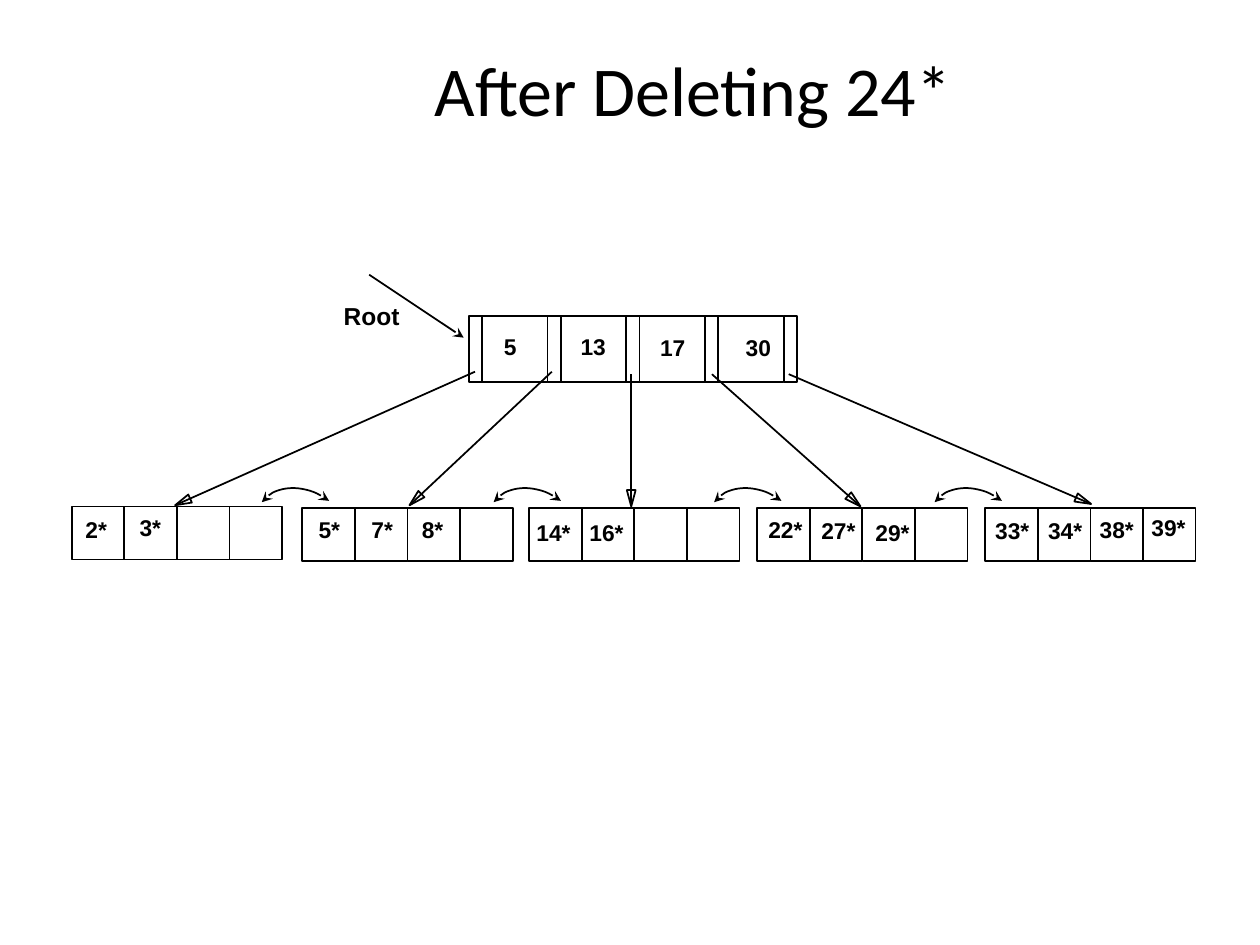
import itertools
import math
from dataclasses import dataclass

import lxml.etree
import pptx
import pptx.dml.color
import pptx.enum.shapes
import pptx.enum.text
import pptx.oxml.ns
import pptx.util
from pptx.shapes.base import BaseShape
from pptx.slide import Slide

Point = tuple[float, float]

SLIDE_WIDTH = pptx.util.Inches(10)
SLIDE_HEIGHT = pptx.util.Inches(7.5)
COLUMNS, ROWS = 100, 75
CELLS_PER_NODE = 4
qn = pptx.oxml.ns.qn


@dataclass(frozen=True)
class Theme:
    ink: pptx.dml.color.RGBColor = pptx.dml.color.RGBColor(0, 0, 0)
    title_font: str = "Calibri"
    label_font: str = "Arial"
    title_size: float = 40
    root_size: float = 14
    key_size: float = 13
    line_width: float = 1


@dataclass(frozen=True)
class Key:
    """A key with the corner of its label in grid units."""
    text: str
    left: float
    top: float


@dataclass(frozen=True)
class Leaf:
    left: float
    top: float
    keys: tuple[Key, ...]


@dataclass(frozen=True)
class Pointer:
    start: Point
    end: Point


THEME = Theme()
LEAF_WIDTH, CELL_HEIGHT = 16.7, 4.2
ROOT_LEFT, ROOT_TOP, ROOT_HEIGHT = 37.2, 25.1, 5.2
ENTRY_WIDTH, POINTER_WIDTH = 6.25, 1.05
ARC_WIDTH, ARC_HEIGHT, ARC_TOP, ARC_ROTATION = 3.3, 4.2, 37.7, 307
HEAD_LENGTH, HEAD_HALF_WIDTH = 1.3, 0.35

ROOT_KEYS = (Key("5", 39, 25.9), Key("13", 45.1, 25.9), Key("17", 51.4, 26), Key("30", 58.2, 26))
LEAVES = (
    Leaf(5.7, 40.2, (Key("2*", 5.8, 40.4), Key("3*", 10.1, 40.3))),
    Leaf(24, 40.3, (Key("5*", 24.3, 40.4), Key("7*", 28.5, 40.4), Key("8*", 32.5, 40.4))),
    Leaf(42, 40.3, (Key("14*", 41.6, 40.7), Key("16*", 45.8, 40.7))),
    Leaf(60.1, 40.3, (Key("22*", 60, 40.4), Key("27*", 64.2, 40.5), Key("29*", 68.5, 40.7))),
    Leaf(78.2, 40.3, (Key("33*", 78, 40.5), Key("34*", 82.2, 40.5),
                      Key("38*", 86.3, 40.4), Key("39*", 90.4, 40.3))),
)
POINTERS = (
    Pointer((37.7, 29.5), (13.9, 40.1)),
    Pointer((43.8, 29.5), (32.5, 40.1)),
    Pointer((50.1, 29.7), (50.1, 40.2)),
    Pointer((56.5, 29.7), (68.3, 40.2)),
    Pointer((62.6, 29.7), (86.6, 40)),
)
SIBLING_ARC_LEFTS = (21.8, 40.2, 57.7, 75.2)


def x(columns: float) -> int:
    return round(SLIDE_WIDTH * columns / COLUMNS)


def y(rows: float) -> int:
    return round(SLIDE_HEIGHT * rows / ROWS)


def style_line(shape: BaseShape, *ends: str) -> None:
    """Draw a thin line, with stealth arrowheads at the named ends."""
    shape.line.color.rgb = THEME.ink
    shape.line.width = pptx.util.Pt(THEME.line_width)
    line = shape._element.spPr.find(qn("a:ln"))
    for end in ends:
        lxml.etree.SubElement(line, qn(f"a:{end}"), type="stealth")


def style_outline(shape: BaseShape, *ends: str) -> None:
    shape.shadow.inherit = False
    shape.fill.background()
    style_line(shape, *ends)


def add_text(slide: Slide, text: str, left: float, top: float, width: float, height: float, *,
             font: str = THEME.label_font, size: float = THEME.key_size, bold: bool = True,
             centred: bool = False, wrap: bool = False, indent: float = 1) -> None:
    box = slide.shapes.add_textbox(x(left), y(top), x(width), y(height))
    frame = box.text_frame
    frame.word_wrap = wrap
    fit = pptx.enum.text.MSO_AUTO_SIZE
    frame.auto_size = fit.NONE if wrap else fit.SHAPE_TO_FIT_TEXT
    frame.margin_left = x(indent)
    anchor = pptx.enum.text.MSO_ANCHOR
    frame.vertical_anchor = anchor.MIDDLE if centred else anchor.TOP
    para = frame.paragraphs[0]
    align = pptx.enum.text.PP_ALIGN
    para.alignment = align.CENTER if centred else align.LEFT
    span = para.add_run()
    span.text = text
    span.font.name = font
    span.font.size = pptx.util.Pt(size)
    span.font.bold = bold
    span.font.color.rgb = THEME.ink


def add_cell(slide: Slide, left: float, top: float, width: float, height: float) -> None:
    kind = pptx.enum.shapes.MSO_SHAPE.RECTANGLE
    style_outline(slide.shapes.add_shape(kind, x(left), y(top), x(width), y(height)))


def add_line(slide: Slide, start: Point, end: Point, *ends: str) -> None:
    kind = pptx.enum.shapes.MSO_CONNECTOR.STRAIGHT
    line = slide.shapes.add_connector(kind, x(start[0]), y(start[1]), x(end[0]), y(end[1]))
    style_line(line, *ends)
    lxml.etree.SubElement(line._element.spPr, qn("a:effectLst"))


def add_key(slide: Slide, key: Key) -> None:
    digits = len(key.text.rstrip("*"))
    width = 2 + digits + 0.7 * key.text.count("*")
    add_text(slide, key.text, key.left, key.top, width, 3.1)


def add_leaf(slide: Slide, leaf: Leaf) -> None:
    cell = LEAF_WIDTH / CELLS_PER_NODE
    for index in range(CELLS_PER_NODE):
        add_cell(slide, leaf.left + index * cell, leaf.top, cell, CELL_HEIGHT)


def add_root(slide: Slide) -> None:
    bottom = ROOT_TOP + ROOT_HEIGHT
    for index in range(CELLS_PER_NODE):
        left = ROOT_LEFT + index * ENTRY_WIDTH
        add_cell(slide, left, ROOT_TOP, ENTRY_WIDTH, ROOT_HEIGHT)
        divider = left + POINTER_WIDTH
        add_line(slide, (divider, ROOT_TOP), (divider, bottom))
    last = ROOT_LEFT + CELLS_PER_NODE * ENTRY_WIDTH
    add_cell(slide, last, ROOT_TOP, POINTER_WIDTH, ROOT_HEIGHT)


def add_pointer(slide: Slide, pointer: Pointer) -> None:
    """Draw a line that ends in a hollow triangle."""
    add_line(slide, pointer.start, pointer.end)
    (start_x, start_y), (tip_x, tip_y) = pointer.start, pointer.end
    length = math.dist(pointer.start, pointer.end)
    along_x, along_y = (tip_x - start_x) / length, (tip_y - start_y) / length
    base_x, base_y = tip_x - HEAD_LENGTH * along_x, tip_y - HEAD_LENGTH * along_y
    corners = [(x(base_x - side * along_y), y(base_y + side * along_x))
               for side in (HEAD_HALF_WIDTH, -HEAD_HALF_WIDTH)]
    builder = slide.shapes.build_freeform(x(tip_x), y(tip_y))
    builder.add_line_segments(corners, close=True)
    style_outline(builder.convert_to_shape())


def add_sibling_arc(slide: Slide, left: float) -> None:
    """Draw a turned quarter ellipse with an arrowhead at each end."""
    builder = slide.shapes.build_freeform(x(left), y(ARC_TOP))
    builder.add_line_segments([(x(left + ARC_WIDTH), y(ARC_TOP + ARC_HEIGHT))], close=False)
    arc = builder.convert_to_shape()
    segment = next(arc._element.iter(qn("a:lnTo")))
    curve = lxml.etree.Element(qn("a:arcTo"), wR=str(arc.width), hR=str(arc.height),
                               stAng="16200000", swAng="5400000")
    segment.getparent().replace(segment, curve)
    arc.rotation = ARC_ROTATION
    style_outline(arc, "headEnd", "tailEnd")


def main() -> None:
    deck = pptx.Presentation()
    deck.slide_width, deck.slide_height = SLIDE_WIDTH, SLIDE_HEIGHT
    slide = deck.slides.add_slide(deck.slide_layouts[6])
    add_text(slide, "After Deleting 24*", 5, 3.1, 90, 7.8, font=THEME.title_font,
             size=THEME.title_size, bold=False, centred=True, wrap=True, indent=11)
    for leaf in LEAVES:
        add_leaf(slide, leaf)
    add_root(slide)
    for pointer in POINTERS:
        add_pointer(slide, pointer)
    for key in itertools.chain(ROOT_KEYS, *(leaf.keys for leaf in LEAVES)):
        add_key(slide, key)
    add_text(slide, "Root", 26.3, 23.4, 7, 3.3, size=THEME.root_size)
    add_line(slide, (29.3, 21.8), (36.8, 26.8), "tailEnd")
    for left in SIBLING_ARC_LEFTS:
        add_sibling_arc(slide, left)
    deck.save("out.pptx")


if __name__ == "__main__":
    main()
